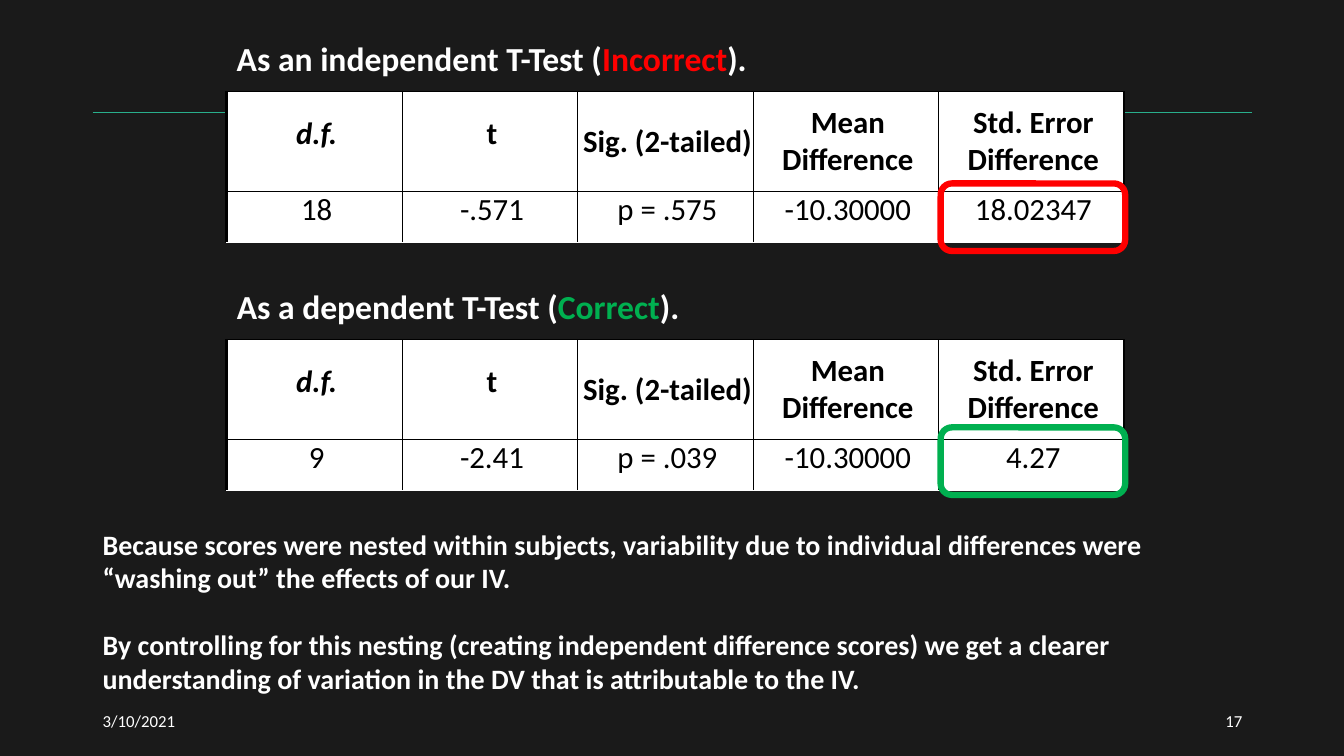
"""Build a slide comparing independent and dependent T-Test results."""
from dataclasses import dataclass

from lxml.etree import SubElement
from pptx import Presentation
from pptx.dml.color import RGBColor
from pptx.enum.shapes import MSO_CONNECTOR as Connector, MSO_SHAPE as Shape
from pptx.enum.text import MSO_ANCHOR as Anchor, MSO_AUTO_SIZE as AutoSize, PP_ALIGN as Align
from pptx.oxml import parse_xml
from pptx.oxml.ns import nsdecls, qn
from pptx.slide import Slide
from pptx.table import _Cell as Cell
from pptx.text.text import Font, TextFrame
from pptx.util import Inches, Pt


@dataclass(frozen=True)
class Theme:
    """Colours, font and type sizes of the slide."""
    background: str = "1A1A1A"
    rule: str = "29AF8C"
    light: str = "FFFFFF"
    dark: str = "000000"
    incorrect: str = "FF0000"
    correct: str = "00B050"
    font: str = "Calibri"
    heading: int = 24
    table: int = 22
    body: int = 20
    footer: int = 12


@dataclass(frozen=True)
class TestResult:
    """One T-Test: its heading, verdict, table values and positions."""
    lead: str
    verdict: str
    colour: str
    values: tuple[str, ...]
    heading_top: float
    heading_width: float
    table_top: float
    highlight_top: float


@dataclass(frozen=True)
class Footer:
    """One footer text and its placement."""
    text: str
    left: float
    align: Align


THEME = Theme()
TABLE_LEFT = 2.25
COLUMN_WIDTHS = (1.74, 1.74, 1.74, 1.84, 1.84)
ROW_HEIGHTS = (0.99, 0.51)
HEADERS = ("d.f.", "t", "Sig. (2-tailed)", "Mean Difference", "Std. Error Difference")
RESULTS = (
    TestResult("As an independent T-Test (", "Incorrect", THEME.incorrect,
               ("18", "-.571", "p = .575", "-10.30000", "18.02347"), 0.33, 5.36, 0.91, 1.82),
    TestResult("As a dependent T-Test (", "Correct", THEME.correct,
               ("9", "-2.41", "p = .039", "-10.30000", "4.27"), 2.79, 4.82, 3.37, 4.24),
)
EXPLANATION = (
    "Because scores were nested within subjects, variability due to individual differences "
    "were “washing out” the effects of our IV.",
    "By controlling for this nesting (creating independent difference scores) we get a clearer "
    "understanding of variation in the DV that is attributable to the IV.",
)
FOOTERS = (Footer("3/10/2021", 0.92, Align.LEFT), Footer("17", 9.42, Align.RIGHT))


def style_font(font: Font, size: int, colour: str, bold: bool = False) -> None:
    """Apply the theme font with a size, colour and weight."""
    font.name = THEME.font
    font.size = Pt(size)
    font.bold = bold
    font.color.rgb = RGBColor.from_string(colour)


def add_text(slide: Slide, left: float, top: float, width: float, height: float,
             wrap: bool = True) -> TextFrame:
    """Add a text box and return its text frame."""
    box = slide.shapes.add_textbox(Inches(left), Inches(top), Inches(width), Inches(height))
    box.text_frame.word_wrap = wrap
    return box.text_frame


def add_rule(slide: Slide) -> None:
    """Draw the thin line behind the first table."""
    rule = slide.shapes.add_connector(
        Connector.STRAIGHT, Inches(0.92), Inches(1.11), Inches(12.42), Inches(1.11))
    rule.line.color.rgb = RGBColor.from_string(THEME.rule)
    rule.line.width = Pt(0.5)
    SubElement(rule._element.spPr, qn("a:effectLst"))


def add_heading(slide: Slide, result: TestResult) -> None:
    """Write a table heading with its verdict in colour."""
    frame = add_text(slide, TABLE_LEFT, result.heading_top, result.heading_width, 0.5, wrap=False)
    frame.auto_size = AutoSize.SHAPE_TO_FIT_TEXT
    paragraph = frame.paragraphs[0]
    for text, colour in ((result.lead, THEME.light), (result.verdict, result.colour),
                         (").", THEME.light)):
        run = paragraph.add_run()
        run.text = text
        style_font(run.font, THEME.heading, colour, bold=True)


def set_borders(cell: Cell, first_column: bool, header: bool) -> None:
    """Draw the four borders of a cell."""
    bottom = THEME.dark if header else THEME.light
    borders = (("lnL", THEME.dark, 2.25 if first_column else 1), ("lnR", THEME.dark, 1),
               ("lnT", THEME.dark, 1), ("lnB", bottom, 1))
    properties = cell._tc.get_or_add_tcPr()
    for position, (tag, colour, width) in enumerate(borders):
        properties.insert(position, parse_xml(
            f'<a:{tag} {nsdecls("a")} w="{Pt(width)}"><a:solidFill>'
            f'<a:srgbClr val="{colour}"/></a:solidFill></a:{tag}>'))


def fill_cell(cell: Cell, text: str, column: int, header: bool) -> None:
    """Write and format one table cell."""
    cell.fill.solid()
    cell.fill.fore_color.rgb = RGBColor.from_string(THEME.light)
    cell.margin_left = cell.margin_right = cell.margin_top = cell.margin_bottom = 0
    cell.vertical_anchor = Anchor.MIDDLE
    set_borders(cell, column == 0, header)
    paragraph = cell.text_frame.paragraphs[0]
    paragraph.text = text
    paragraph.alignment = Align.CENTER
    paragraph._p.get_or_add_pPr().set("marL", str(Inches(0.04)))
    if not header or column < 2:
        paragraph.line_spacing = Pt(16)
    font = paragraph.runs[0].font
    style_font(font, THEME.table, THEME.dark, bold=header)
    font.italic = header and column == 0


def add_result_table(slide: Slide, result: TestResult) -> None:
    """Add the table of one T-Test."""
    table = slide.shapes.add_table(
        len(ROW_HEIGHTS), len(COLUMN_WIDTHS), Inches(TABLE_LEFT), Inches(result.table_top),
        Inches(sum(COLUMN_WIDTHS)), Inches(sum(ROW_HEIGHTS))).table
    table.first_row = table.horz_banding = False
    for column, width in zip(table.columns, COLUMN_WIDTHS):
        column.width = Inches(width)
    for row_index, texts in enumerate((HEADERS, result.values)):
        table.rows[row_index].height = Inches(ROW_HEIGHTS[row_index])
        for column_index, text in enumerate(texts):
            fill_cell(table.cell(row_index, column_index), text, column_index, row_index == 0)


def add_highlight(slide: Slide, result: TestResult) -> None:
    """Outline the standard error of one T-Test."""
    shape = slide.shapes.add_shape(Shape.ROUNDED_RECTANGLE, Inches(9.33),
                                   Inches(result.highlight_top), Inches(1.83), Inches(0.67))
    shape.shadow.inherit = False
    shape.fill.background()
    shape.line.color.rgb = RGBColor.from_string(result.colour)
    shape.line.width = Pt(4.5)


def add_explanation(slide: Slide) -> None:
    """Write the two explanatory paragraphs."""
    frame = add_text(slide, 0.92, 5.18, 11.5, 1.78)
    frame.text = "\n".join(EXPLANATION)
    for paragraph in frame.paragraphs:
        style_font(paragraph.runs[0].font, THEME.body, THEME.light, bold=True)
    frame.paragraphs[1].space_before = Pt(24)


def add_footer(slide: Slide, footer: Footer) -> None:
    """Write one footer text."""
    frame = add_text(slide, footer.left, 6.95, 3, 0.4)
    frame.vertical_anchor = Anchor.MIDDLE
    frame.text = footer.text
    paragraph = frame.paragraphs[0]
    paragraph.alignment = footer.align
    style_font(paragraph.runs[0].font, THEME.footer, THEME.light)


def main() -> None:
    """Build and save the presentation."""
    presentation = Presentation()
    presentation.slide_width, presentation.slide_height = Inches(13.33), Inches(7.5)
    slide = presentation.slides.add_slide(presentation.slide_layouts[6])
    slide.background.fill.solid()
    slide.background.fill.fore_color.rgb = RGBColor.from_string(THEME.background)
    add_rule(slide)
    for result in RESULTS:
        add_result_table(slide, result)
        add_heading(slide, result)
        add_highlight(slide, result)
    add_explanation(slide)
    for footer in FOOTERS:
        add_footer(slide, footer)
    presentation.save("out.pptx")


if __name__ == "__main__":
    main()
